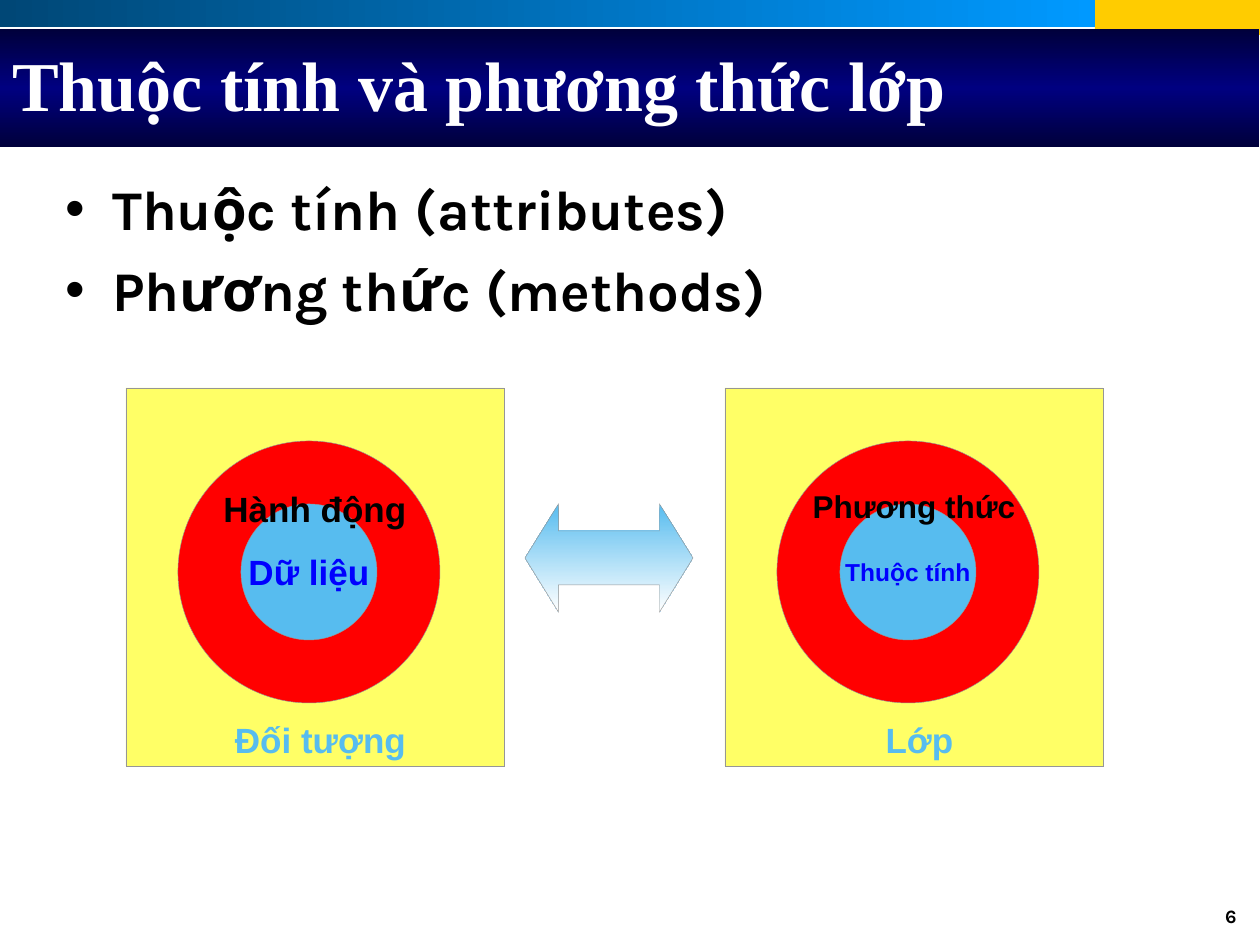
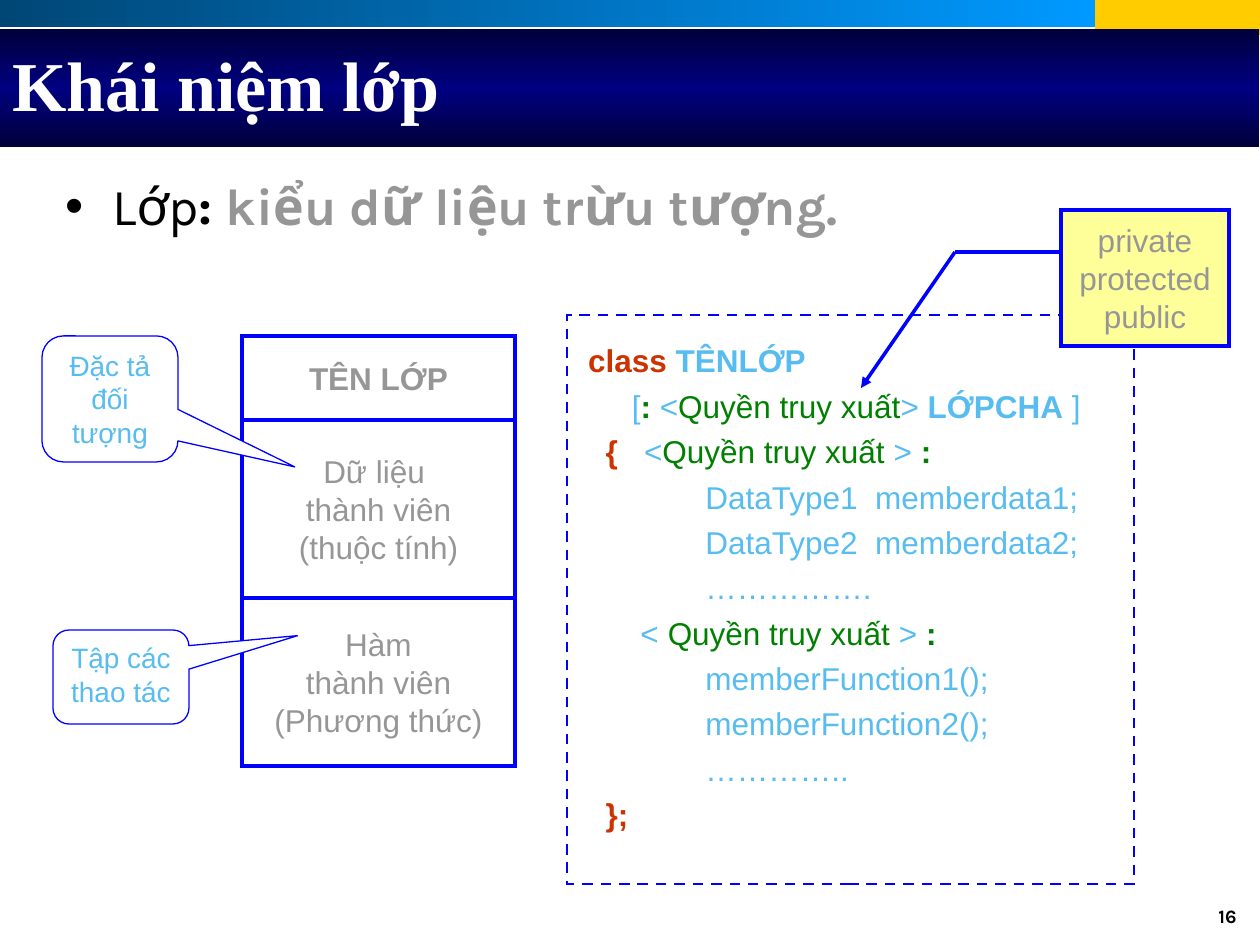
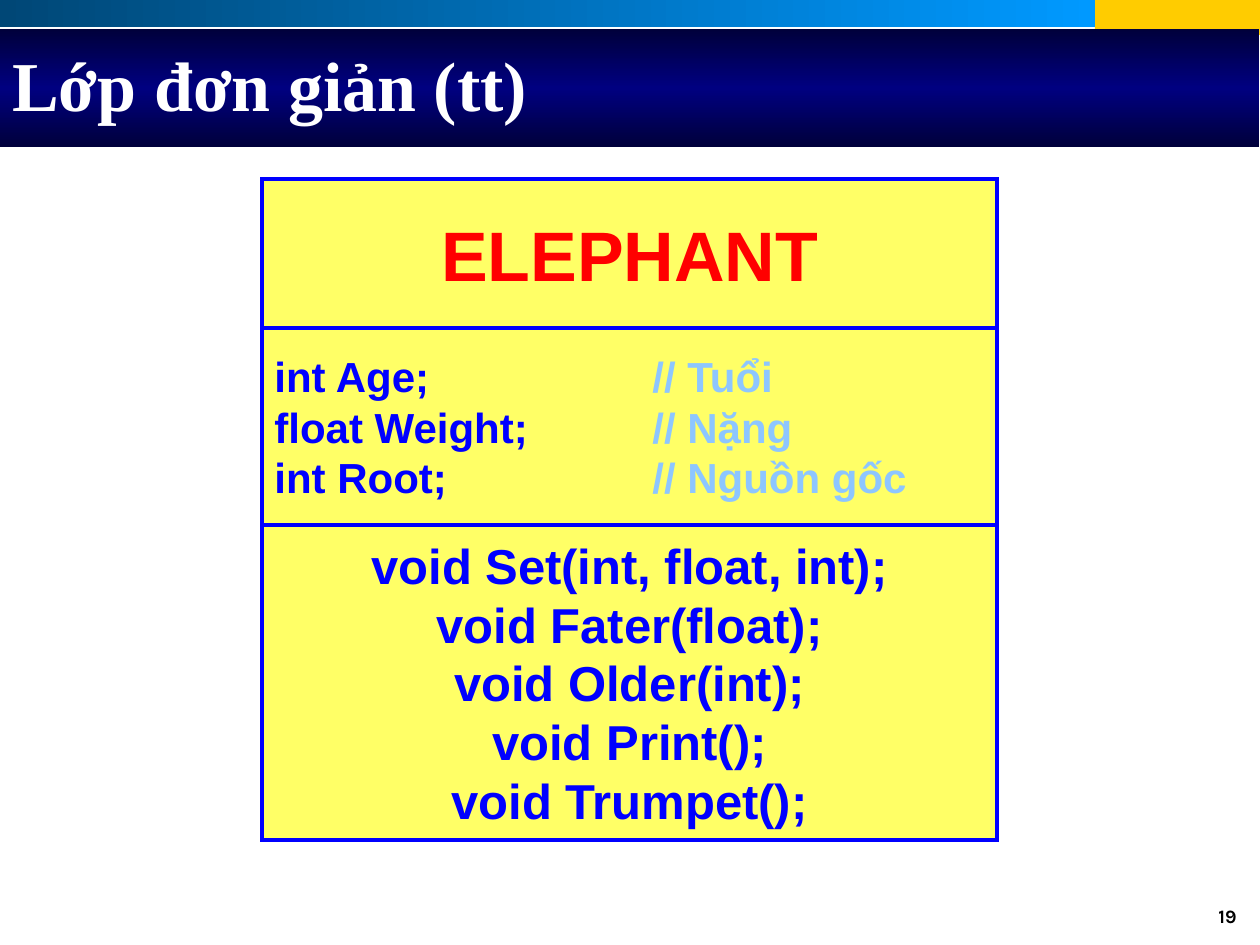
from dataclasses import dataclass, replace

from lxml.etree import SubElement
from pptx import Presentation
from pptx.dml.color import RGBColor
from pptx.enum.dml import MSO_LINE
from pptx.enum.shapes import MSO_CONNECTOR, MSO_SHAPE as SHAPE
from pptx.enum.text import MSO_ANCHOR as ANCHOR, PP_ALIGN as ALIGN
from pptx.oxml.ns import qn
from pptx.util import Emu, Pt

PX_PER_INCH = 126
BLANK_LAYOUT = 6

BLACK, WHITE = "000000", "FFFFFF"
BLUE, SKY, PALE_BLUE = "0000FF", "57BCEF", "8DC6FF"
GREY, RED, GREEN, RUST = "969696", "FF0000", "008000", "CC3300"
YELLOW, CREAM, GOLD = "FFFF66", "FFFF99", "FFCC00"
TOP_BAND = ["004776", "0099FF"]
TITLE_BAND = ["00003B", "000080", "00003B"]


@dataclass(frozen=True)
class Style:
    size: float
    color: str = BLACK
    bold: bool = False
    font: str = "Arial"
    align: ALIGN = ALIGN.CENTER
    anchor: ANCHOR = ANCHOR.MIDDLE
    wrap: bool = False
    line_spacing: float = 1.0
    tab: int = 0
    bullet: bool = False
    top_inset: int = 6


TITLE = Style(40, WHITE, True, "Times New Roman", ALIGN.LEFT, wrap=True)
NUMBER = Style(10.8, BLACK, True, "Karla", ALIGN.RIGHT, ANCHOR.TOP, True, 0.8)
BODY = Style(32, BLACK, True, "Karla", ALIGN.LEFT, ANCHOR.TOP, True, bullet=True)
MEMBER = Style(18, GREY)
CALLOUT = Style(16, SKY, anchor=ANCHOR.TOP, wrap=True)
CAPTION = Style(20, SKY, True, anchor=ANCHOR.TOP, wrap=True)
CODE = Style(18, SKY, align=ALIGN.LEFT, anchor=ANCHOR.TOP, wrap=True,
             line_spacing=1.2, tab=126, top_inset=19)
FIELDS = Style(24, BLUE, True, align=ALIGN.LEFT, wrap=True, tab=378)

ACCESS = ("Quyền truy xuất", GREEN)
CLASS_CODE = [
    [" ", ("class ", RUST, True), ("TÊNLỚP", SKY, True)],
    ["      [", (":", GREEN, True), " <", ACCESS, "> ", ("LỚPCHA", SKY, True), " ]"],
    ["   ", ("{", RUST, True), "   <", ACCESS, " > ", (":", GREEN, True)],
    ["\tDataType1  memberdata1;"],
    ["\tDataType2  memberdata2;"],
    ["\t……………."],
    ["       < ", ACCESS, " > ", (":", GREEN, True)],
    ["\tmemberFunction1();"],
    ["\tmemberFunction2();"],
    ["\t………….."],
    ["   ", ("};", RUST, True)],
]


def px(length):
    return Emu(round(length * 914400 / PX_PER_INCH))


def rgb(color):
    return RGBColor.from_string(color)


def add_tab(paragraph, position):
    tabs = SubElement(paragraph._p.get_or_add_pPr(), qn("a:tabLst"))
    SubElement(tabs, qn("a:tab"), pos=str(px(position)), algn="l")


def add_bullet(paragraph):
    props = paragraph._p.get_or_add_pPr()
    props.set("marL", str(px(47)))
    props.set("indent", str(-px(47)))
    color = SubElement(props, qn("a:buClr"))
    SubElement(color, qn("a:srgbClr"), val=BLACK)
    SubElement(props, qn("a:buFont"), typeface="Arial")
    SubElement(props, qn("a:buChar"), char="•")


def add_run(paragraph, style, text, color=None, bold=None):
    run = paragraph.add_run()
    run.text = text
    font = run.font
    font.name, font.size = style.font, Pt(style.size)
    font.bold = style.bold if bold is None else bold
    font.color.rgb = rgb(color or style.color)


def write(shape, style, paragraphs):
    """Fill a shape with paragraphs, each a string or a list of runs."""
    frame = shape.text_frame
    frame.word_wrap = style.wrap
    frame.vertical_anchor = style.anchor
    frame.margin_top = px(style.top_inset)
    for index, runs in enumerate(paragraphs):
        paragraph = frame.add_paragraph() if index else frame.paragraphs[0]
        if style.bullet:
            add_bullet(paragraph)
        if style.tab:
            add_tab(paragraph, style.tab)
        paragraph.alignment = style.align
        paragraph.line_spacing = style.line_spacing
        if style.bullet and index:
            paragraph.space_before = Pt(8)
        for run in [runs] if isinstance(runs, str) else runs:
            add_run(paragraph, style, *([run] if isinstance(run, str) else run))


def add_label(slide, box, style, paragraphs):
    write(slide.shapes.add_textbox(*map(px, box)), style, paragraphs)


def set_gradient(shape, colors, angle):
    """Spread colors evenly; angle is clockwise degrees."""
    shape.fill.gradient()
    shape.fill.gradient_angle = (360 - angle) % 360
    stops = shape._element.spPr.find(qn("a:gradFill")).find(qn("a:gsLst"))
    for stop in list(stops):
        stops.remove(stop)
    for index, color in enumerate(colors):
        position = 100000 * index // (len(colors) - 1)
        stop = SubElement(stops, qn("a:gs"), pos=str(position))
        SubElement(stop, qn("a:srgbClr"), val=color)


def add_figure(slide, kind, box, fill=None, line=None, width=0.25, adjust=()):
    shape = slide.shapes.add_shape(kind, *map(px, box))
    shape.shadow.inherit = False
    for index, value in enumerate(adjust):
        shape.adjustments[index] = value
    if fill:
        shape.fill.solid()
        shape.fill.fore_color.rgb = rgb(fill)
    else:
        shape.fill.background()
    if line:
        shape.line.color.rgb = rgb(line)
        shape.line.width = Pt(width)
        SubElement(shape._element.spPr.find(qn("a:ln")), qn("a:miter"), lim="800000")
    else:
        shape.line.fill.background()
    return shape


def add_line(slide, start, end, arrow=False):
    segment = slide.shapes.add_connector(MSO_CONNECTOR.STRAIGHT, *map(px, start + end))
    segment.line.color.rgb = rgb(BLUE)
    segment.line.width = Pt(2)
    props = segment._element.spPr
    if arrow:
        SubElement(props.find(qn("a:ln")), qn("a:tailEnd"), type="triangle")
    SubElement(props, qn("a:effectLst"))


def add_page(deck, title, number):
    slide = deck.slides.add_slide(deck.slide_layouts[BLANK_LAYOUT])
    add_figure(slide, SHAPE.RECTANGLE, (1095, 0, 165, 35), GOLD)
    set_gradient(add_figure(slide, SHAPE.RECTANGLE, (0, 0, 1095, 27)), TOP_BAND, 0)
    set_gradient(add_figure(slide, SHAPE.RECTANGLE, (0, 29, 1259, 118)), TITLE_BAND, 90)
    add_label(slide, (955, 903, 294, 40), NUMBER, [str(number)])
    add_label(slide, (0, 21, 1197, 126), TITLE, [title])
    return slide


def add_ring_card(slide, left, core, core_size, ring, ring_size, caption):
    """Draw a square holding a core inside a ring."""
    top = 388
    add_figure(slide, SHAPE.RECTANGLE, (left, top, 378, 378), YELLOW, GREY)
    add_figure(slide, SHAPE.OVAL, (left + 52, top + 53, 262, 262), RED, GREY)
    center = add_figure(slide, SHAPE.OVAL, (left + 115, top + 116, 136, 136), SKY, GREY)
    write(center, Style(core_size, BLUE, True), [core])
    ring_style = Style(ring_size, BLACK, True, anchor=ANCHOR.TOP)
    add_label(slide, (left + 59, top + 93, 260, 131), ring_style, [ring])
    add_label(slide, (left + 21, top + 324, 347, 55), CAPTION, [caption])


def add_class_box(slide, left, top, width, compartments, fill=None):
    """Stack compartments given as (height, style, paragraphs)."""
    for height, style, paragraphs in compartments:
        compartment = add_figure(slide, SHAPE.RECTANGLE, (left, top, width, height),
                                 fill, BLUE, 2)
        write(compartment, style, paragraphs)
        top += height


def add_callout(slide, box, pointer, text):
    callout = add_figure(slide, SHAPE.ROUNDED_RECTANGULAR_CALLOUT, box, WHITE, BLUE,
                         0.75, (*pointer, 0.17))
    write(callout, CALLOUT, [text])


def build_members(deck):
    slide = add_page(deck, "Thuộc tính và phương thức lớp", 6)
    add_label(slide, (53, 168, 1197, 168), BODY,
              ["Thuộc tính (attributes)", "Phương thức (methods)"])
    add_ring_card(slide, 126, "Dữ liệu", 20, "Hành động", 20, "Đối tượng")
    add_ring_card(slide, 725, "Thuộc tính", 14, "Phương thức", 18, "Lớp")
    arrow = add_figure(slide, SHAPE.LEFT_RIGHT_ARROW, (525, 504, 168, 108),
                       line=GREY, adjust=(0.5, 0.31))
    set_gradient(arrow, [SKY, WHITE], 90)


def build_concept(deck):
    slide = add_page(deck, "Khái niệm lớp", 16)
    add_label(slide, (53, 168, 876, 96), replace(BODY, size=29.6),
              [[("Lớp", BLACK, False), ": ", ("kiểu dữ liệu trừu tượng.", GREY)]])
    add_class_box(slide, 242, 336, 273, [
        (84, replace(MEMBER, bold=True), ["TÊN LỚP"]),
        (178, MEMBER, ["Dữ liệu ", "thành viên", "(thuộc tính)"]),
        (168, MEMBER, ["Hàm", "thành viên", "(Phương thức)"]),
    ])
    add_callout(slide, (42, 336, 136, 126), (1.36, 0.54), "Đặc tả đối tượng")
    add_callout(slide, (53, 630, 136, 94), (1.3, -0.44), "Tập các thao tác")
    code = add_figure(slide, SHAPE.RECTANGLE, (567, 315, 567, 569), WHITE, BLUE, 1.5)
    code.line.dash_style = MSO_LINE.DASH
    write(code, CODE, CLASS_CODE)
    access = add_figure(slide, SHAPE.RECTANGLE, (1061, 210, 168, 136), CREAM, BLUE, 2)
    write(access, MEMBER, ["private", "protected", "public"])
    bend = (955, 252)
    add_line(slide, (1061, 252), bend)
    add_line(slide, bend, (861, 388), arrow=True)


def build_elephant(deck):
    slide = add_page(deck, "Lớp đơn giản (tt)", 19)
    fields = [("int Age;", "// Tuổi"), ("float Weight;", "// Nặng"),
              ("int Root;", "// Nguồn gốc")]
    methods = ["void Set(int, float, int);", "void Fater(float);", "void Older(int);",
               "void Print();", "void Trumpet();"]
    add_class_box(slide, 262, 179, 735, [
        (149, Style(40, RED, True), ["ELEPHANT"]),
        (197, FIELDS, [[field + "\t", (note, PALE_BLUE)] for field, note in fields]),
        (315, Style(28, BLUE, True), methods),
    ], YELLOW)


def main():
    deck = Presentation()
    deck.slide_width, deck.slide_height = px(1260), px(945)
    build_members(deck)
    build_concept(deck)
    build_elephant(deck)
    deck.save("out.pptx")


if __name__ == "__main__":
    main()
